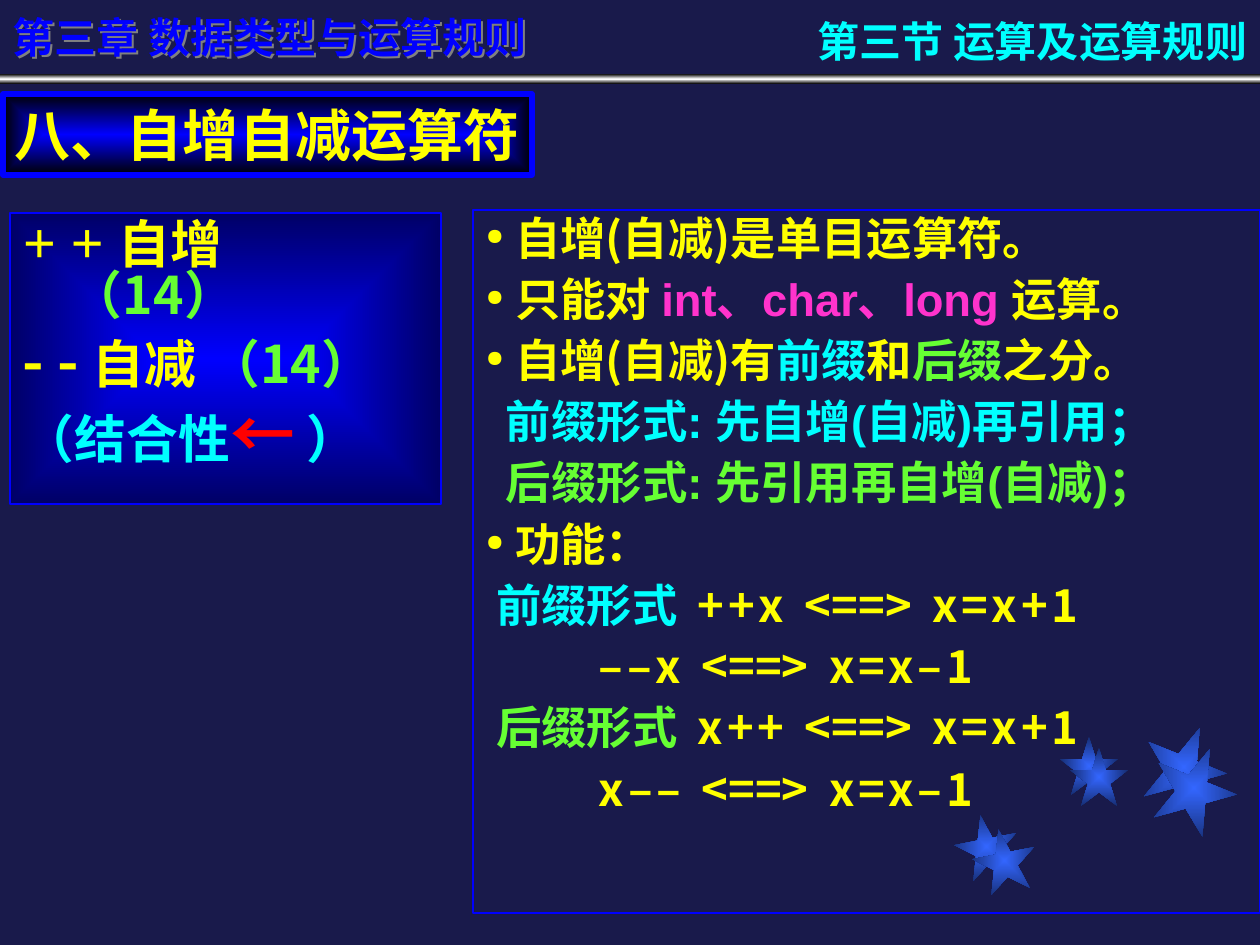
from lxml.etree import SubElement
from pptx import Presentation
from pptx.dml.color import RGBColor
from pptx.enum.shapes import MSO_SHAPE as Shape
from pptx.enum.text import MSO_ANCHOR as Anchor, PP_ALIGN as Align
from pptx.oxml.ns import qn
from pptx.util import Pt

EMU_PER_PX = 914400 / 126
NAVY = RGBColor(0x19, 0x1A, 0x4B)
BLUE = RGBColor(0x00, 0x00, 0xFF)
DEEP_BLUE = RGBColor(0x00, 0x00, 0x66)
STAR_BLUE = RGBColor(0x33, 0x66, 0xFF)
STAR_EDGE = RGBColor(0x17, 0x2F, 0x75)
BLACK = RGBColor(0x00, 0x00, 0x00)
GREY = RGBColor(0x80, 0x80, 0x80)
WHITE = RGBColor(0xFF, 0xFF, 0xFF)
YELLOW = RGBColor(0xFF, 0xFF, 0x00)
CYAN = RGBColor(0x00, 0xFF, 0xFF)
GREEN = RGBColor(0x66, 0xFF, 0x33)
PINK = RGBColor(0xFF, 0x33, 0xCC)
RED = RGBColor(0xFF, 0x00, 0x00)
CJK, ARIAL, TIMES = "Noto Sans CJK SC", "Arial", "Times New Roman"
BODY_SIZE, GAP_SIZE, OPERATOR_SIZE = 25.9, 9.2, 29.6


def px(length):
    return round(length * EMU_PER_PX)


def set_gradient(shape, colours, angle=None):
    """Spread the colours evenly, from the centre outwards if no angle is given."""
    shape.fill.gradient()
    gradient = shape._element.spPr.find(qn("a:gradFill"))
    for child in list(gradient):
        gradient.remove(child)
    stops = SubElement(gradient, qn("a:gsLst"))
    for index, colour in enumerate(colours):
        position = index * 100000 // (len(colours) - 1)
        stop = SubElement(stops, qn("a:gs"), pos=str(position))
        SubElement(stop, qn("a:srgbClr"), val=str(colour))
    if angle is None:
        rect_path = SubElement(gradient, qn("a:path"), path="rect")
        SubElement(rect_path, qn("a:fillToRect"),
                   dict.fromkeys("ltrb", "50000"))
    else:
        SubElement(gradient, qn("a:lin"), ang=str(angle * 60000), scaled="0")


def add_shape(slide, kind, box):
    shape = slide.shapes.add_shape(kind, *map(px, box))
    shape.shadow.inherit = False
    shape.line.fill.background()
    return shape


def set_outline(shape, width):
    shape.line.color.rgb = BLUE
    shape.line.width = Pt(width)


def set_frame(shape, left=13, right=13, anchor=Anchor.TOP):
    frame = shape.text_frame
    settings = {"word_wrap": True, "vertical_anchor": anchor,
                "margin_left": px(left), "margin_right": px(right),
                "margin_top": px(6), "margin_bottom": px(6)}
    for name, value in settings.items():
        setattr(frame, name, value)
    return frame


def add_run(paragraph, text, colour, size, font=CJK):
    run = paragraph.add_run()
    run.text = text
    run.font.color.rgb = colour
    for name, value in {"size": Pt(size), "bold": True, "name": font}.items():
        setattr(run.font, name, value)
    SubElement(run._r.get_or_add_rPr(), qn("a:ea"), typeface=CJK)
    return run


def next_paragraph(frame, line_spacing, space_before):
    first = frame.paragraphs[0]
    if not first.runs:
        paragraph, space_before = first, 0
    else:
        paragraph = frame.add_paragraph()
    paragraph.alignment = Align.LEFT
    paragraph.line_spacing = line_spacing
    paragraph.space_before = Pt(space_before)
    return paragraph


def set_indent(paragraph, left, hanging=0):
    properties = paragraph._p.get_or_add_pPr()
    properties.set("marL", str(px(left)))
    properties.set("indent", str(px(-hanging)))
    return properties


def add_bullet(paragraph):
    properties = set_indent(paragraph, 29, 29)
    colour = SubElement(properties, qn("a:buClr"))
    SubElement(colour, qn("a:srgbClr"), val=str(YELLOW))
    SubElement(properties, qn("a:buSzPct"), val="50000")
    SubElement(properties, qn("a:buChar"), char="●")


def add_stars(slide):
    trios = [[(955, 815), (1060, 737), (1142, 725)],
             [(973, 829), (1070, 748), (1152, 746)]]
    for trio in trios:
        for (left, top), (size, angle) in zip(trio, [(63, 349), (58, 0), (84, 22)]):
            star = add_shape(slide, Shape.STAR_5_POINT, (left, top, size, size))
            star.rotation = angle
            set_gradient(star, [STAR_BLUE, STAR_EDGE])


def add_label_shadow(label):
    effects = SubElement(label._element.spPr, qn("a:effectLst"))
    shadow = SubElement(effects, qn("a:outerShdw"), dist="17961", dir="2700000")
    SubElement(shadow, qn("a:srgbClr"), val=str(GREY))


def add_header(slide, left, top, width):
    band = add_shape(slide, Shape.RECTANGLE, (left, top + 74, width, 10))
    set_gradient(band, [BLACK, WHITE, BLACK], 90)

    chapter = slide.shapes.add_textbox(*map(px, (left, top, 620, 73)))
    add_label_shadow(chapter)
    frame = set_frame(chapter, anchor=Anchor.MIDDLE)
    add_run(frame.paragraphs[0], "第三章 数据类型与运算规则", BLUE, 24)

    section = slide.shapes.add_textbox(*map(px, (left + width - 455, top + 10, 455, 63)))
    paragraph = set_frame(section, left=0).paragraphs[0]
    paragraph.alignment = Align.RIGHT
    add_run(paragraph, "第三节 运算及运算规则", CYAN, 24)


def format_title(slide, box):
    title = slide.shapes.title
    for name, value in zip(("left", "top", "width", "height"), box):
        setattr(title, name, px(value))
    set_gradient(title, [BLUE, BLACK])
    set_outline(title, 3)
    paragraph = next_paragraph(set_frame(title, left=12, right=0), 1, 0)
    add_run(paragraph, "八、自增自减运算符", YELLOW, 32, TIMES)


def add_operator_panel(slide, box):
    panel = add_shape(slide, Shape.RECTANGLE, box)
    set_gradient(panel, [BLUE, DEEP_BLUE])
    set_outline(panel, 0.75)
    frame = set_frame(panel)
    operators = [("+ + ", TIMES, "自增", True), ("- - ", CJK, "自减 ", False)]
    for symbol, font, name, breaks in operators:
        paragraph = next_paragraph(frame, 0.8, 8)
        set_indent(paragraph, 48, 48)
        add_run(paragraph, symbol, YELLOW, 33.3, font)
        add_run(paragraph, name, YELLOW, OPERATOR_SIZE)
        if breaks:
            paragraph.add_line_break()
        add_run(paragraph, "（14）", GREEN, OPERATOR_SIZE)
    paragraph = next_paragraph(frame, 0.8, 8)
    set_indent(paragraph, 48, 48)
    add_run(paragraph, "（结合性", CYAN, OPERATOR_SIZE, ARIAL)
    add_run(paragraph, "←", RED, 37)
    add_run(paragraph, " ）", CYAN, OPERATOR_SIZE, ARIAL)


def add_wide_space(paragraph):
    space = add_run(paragraph, " ", YELLOW, BODY_SIZE)
    space._r.rPr.set("spc", "580")


def add_spaced(paragraph, term):
    """Write the signs of a term with a narrow gap between them."""
    for index, sign in enumerate(term):
        if index:
            add_run(paragraph, " ", YELLOW, GAP_SIZE)
        add_run(paragraph, sign, YELLOW, BODY_SIZE)


def add_rules_panel(slide, box):
    panel = add_shape(slide, Shape.RECTANGLE, box)
    panel.fill.background()
    set_outline(panel, 0.75)
    frame = set_frame(panel)
    bullets = [
        [("自增(自减)是单目运算符。", YELLOW, CJK)],
        [("只能对 ", YELLOW, ARIAL), ("int、char、long ", PINK, ARIAL),
         ("运算。", YELLOW, ARIAL)],
        [("自增(自减)有", YELLOW, CJK), ("前缀", CYAN, CJK), ("和", YELLOW, CJK),
         ("后缀", GREEN, CJK), ("之分。", YELLOW, CJK)]]
    forms = [[("前缀形式: 先自增(自减)再引用；", CYAN, ARIAL)],
             [("后缀形式: 先引用再自增(自减)；", GREEN, ARIAL)]]
    purpose = [("功能：", YELLOW, CJK)]
    for line in bullets + forms + [purpose]:
        paragraph = next_paragraph(frame, 0.9, 7)
        if line in forms:
            set_indent(paragraph, 20)
        else:
            add_bullet(paragraph)
        for text, colour, font in line:
            add_run(paragraph, text, colour, BODY_SIZE, font)

    formulas = [("前缀形式", CYAN, "++x", "x=x+1"), ("", YELLOW, "––x", "x=x–1"),
                ("后缀形式", GREEN, "x++", "x=x+1"), ("", YELLOW, "x––", "x=x–1")]
    for label, colour, term, result in formulas:
        paragraph = next_paragraph(frame, 0.9, 7)
        set_indent(paragraph, 10 if label else 113)
        if label:
            add_run(paragraph, label, colour, BODY_SIZE)
            add_wide_space(paragraph)
        add_spaced(paragraph, term)
        add_wide_space(paragraph)
        add_run(paragraph, "<==>", YELLOW, BODY_SIZE)
        add_wide_space(paragraph)
        add_spaced(paragraph, result)


def main():
    presentation = Presentation()
    presentation.slide_width, presentation.slide_height = px(1260), px(945)
    slide = presentation.slides.add_slide(presentation.slide_layouts[5])
    slide.background.fill.solid()
    slide.background.fill.fore_color.rgb = NAVY
    add_stars(slide)
    add_header(slide, 0, 0, 1260)
    format_title(slide, (3, 94, 529, 81))
    add_operator_panel(slide, (10, 213, 431, 291))
    add_rules_panel(slide, (473, 210, 787, 703))
    presentation.save("out.pptx")


if __name__ == "__main__":
    main()
